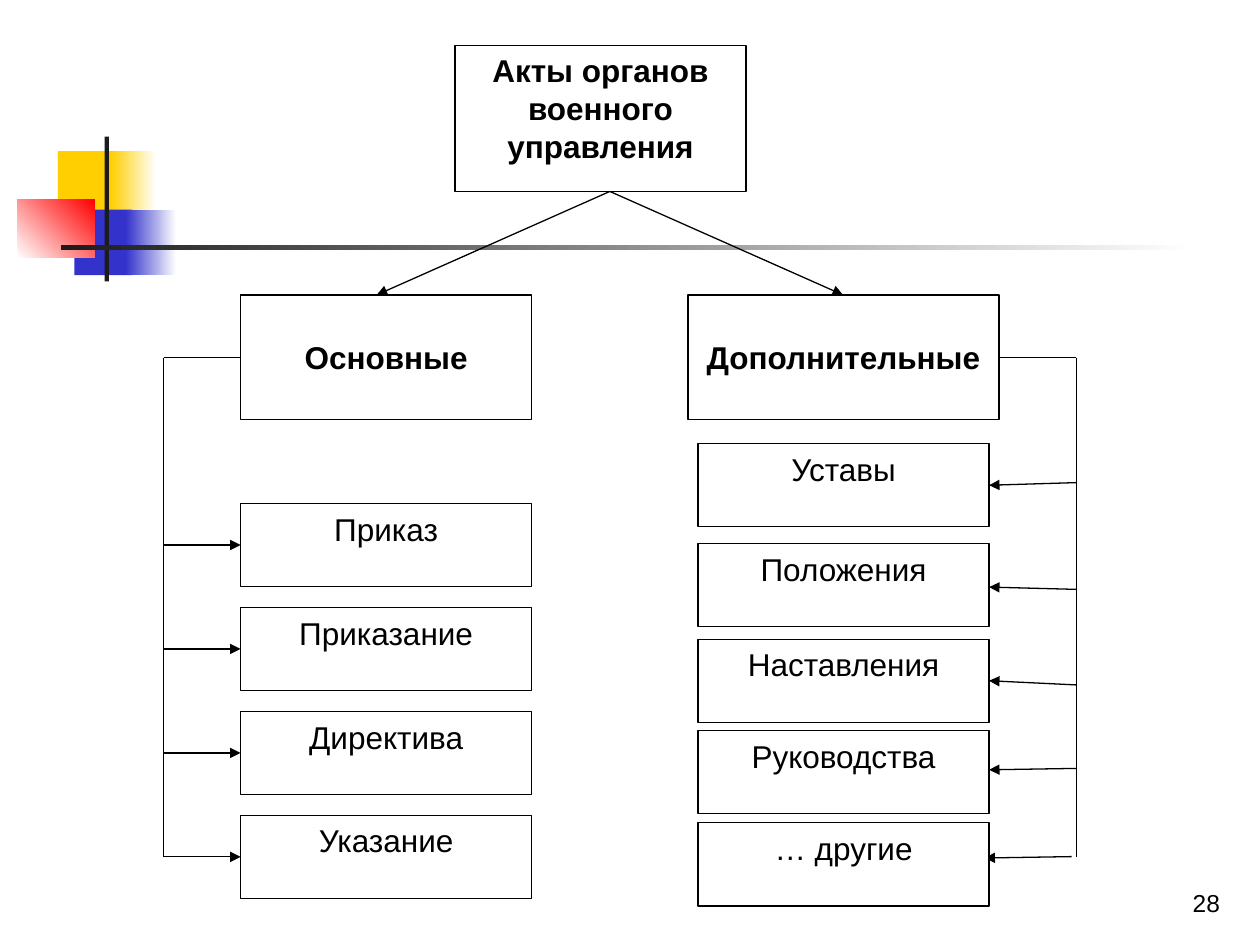
from dataclasses import dataclass
from typing import Optional

from lxml.etree import SubElement
from pptx import Presentation
from pptx.dml.color import RGBColor
from pptx.enum.shapes import MSO_CONNECTOR, MSO_SHAPE
from pptx.enum.text import MSO_ANCHOR, PP_ALIGN
from pptx.oxml.ns import qn
from pptx.slide import Slide
from pptx.text.text import TextFrame
from pptx.util import Pt


@dataclass(frozen=True)
class Theme:
    font: str = "Arial"
    black: str = "000000"
    white: str = "FFFFFF"
    dark: str = "1C1C1C"
    yellow: str = "FFCF01"
    blue: str = "3333CC"
    red: str = "FF0000"
    node_size: float = 18
    number_size: float = 14
    line_width: float = 0.75


@dataclass(frozen=True)
class Block:
    """A decorative rectangle; a second colour makes it a gradient."""
    left: float
    top: float
    width: float
    height: float
    color: str
    end_color: Optional[str] = None
    angle: float = 0


@dataclass(frozen=True)
class Node:
    text: str
    left: float
    top: float
    width: float
    height: float
    bold: bool = False
    anchor: MSO_ANCHOR = MSO_ANCHOR.TOP


@dataclass(frozen=True)
class Line:
    start: tuple[float, float]
    end: tuple[float, float]
    arrow: bool = True


THEME = Theme()
ITEM_WIDTH, ITEM_HEIGHT = 166.3, 47.5
HEADING_TOP, HEADING_HEIGHT = 168.5, 71.3
LEFT_ITEMS, RIGHT_ITEMS = 137.5, 398.9
LEFT_RAIL, RIGHT_RAIL = 93.6, 615
RAIL_TOP, RAIL_BOTTOM = 204.4, 489.6

# Master decoration, from back to front
BLOCKS = [
    Block(33.1, 86.4, 34.6, 37.4, THEME.yellow),
    Block(63.4, 86.4, 25.9, 37.4, THEME.yellow, THEME.white),
    Block(42.5, 119.8, 33.1, 37.4, THEME.blue),
    Block(72, 119.8, 28.8, 37.4, THEME.blue, THEME.white),
    Block(10, 113.8, 44.2, 33.4, THEME.white, THEME.red, 45),
    Block(59.8, 78, 2.5, 82.8, THEME.dark),
    Block(34.8, 140.2, 648, 2.5, THEME.dark, THEME.white),
]

# Top box and the two group headings
HEADINGS = [
    Node("Акты органов\nвоенного управления", 260, 25.9, ITEM_WIDTH, 83.5, True),
    Node("Основные", LEFT_ITEMS, HEADING_TOP, ITEM_WIDTH, HEADING_HEIGHT,
         True, MSO_ANCHOR.MIDDLE),
    Node("Дополнительные", 393.1, HEADING_TOP, 177.8, HEADING_HEIGHT,
         True, MSO_ANCHOR.MIDDLE),
]

BASIC_ACTS = ["Приказ", "Приказание", "Директива", "Указание"]
BASIC_TOP, BASIC_STEP = 287.7, 59.4

# Name, box top, arrow start height, arrow end height
ADDITIONAL_ACTS = [
    ("Уставы", 253.6, 275.8, 277.3),
    ("Положения", 310.6, 336.8, 335.5),
    ("Наставления", 365.3, 391.4, 389),
    ("Руководства", 417.6, 439.1, 439.9),
    ("… другие", 470.2, 489.5, 490.3),
]


def apply_format(target: object, values: dict) -> None:
    for name, value in values.items():
        setattr(target, name, value)


def write_text(frame: TextFrame, text: str, size: float, bold: bool,
               alignment: PP_ALIGN, anchor: MSO_ANCHOR) -> None:
    apply_format(frame, {
        "word_wrap": True, "vertical_anchor": anchor,
        "margin_left": Pt(7.2), "margin_right": Pt(7.2),
        "margin_top": Pt(3.6), "margin_bottom": Pt(3.6),
    })
    frame.text = text
    for paragraph in frame.paragraphs:
        paragraph.alignment = alignment
        apply_format(paragraph.font, {"name": THEME.font, "size": Pt(size), "bold": bold})
        paragraph.font.color.rgb = RGBColor.from_string(THEME.black)


def add_rectangle(slide: Slide, box: Block | Node):
    shape = slide.shapes.add_shape(
        MSO_SHAPE.RECTANGLE, Pt(box.left), Pt(box.top), Pt(box.width), Pt(box.height))
    shape.shadow.inherit = False
    return shape


def add_block(slide: Slide, block: Block) -> None:
    shape = add_rectangle(slide, block)
    shape.line.fill.background()
    if block.end_color is None:
        shape.fill.solid()
        shape.fill.fore_color.rgb = RGBColor.from_string(block.color)
        return
    shape.fill.gradient()
    shape.fill.gradient_angle = block.angle
    for stop, color in zip(shape.fill.gradient_stops, (block.color, block.end_color)):
        stop.color.rgb = RGBColor.from_string(color)


def add_node(slide: Slide, node: Node) -> None:
    shape = add_rectangle(slide, node)
    shape.fill.solid()
    shape.fill.fore_color.rgb = RGBColor.from_string(THEME.white)
    shape.line.color.rgb = RGBColor.from_string(THEME.black)
    shape.line.width = Pt(THEME.line_width)
    write_text(shape.text_frame, node.text, THEME.node_size, node.bold,
               PP_ALIGN.CENTER, node.anchor)


def add_line(slide: Slide, line: Line) -> None:
    connector = slide.shapes.add_connector(
        MSO_CONNECTOR.STRAIGHT, *(Pt(value) for value in line.start + line.end))
    connector.line.color.rgb = RGBColor.from_string(THEME.black)
    connector.line.width = Pt(THEME.line_width)
    if line.arrow:
        SubElement(connector.line._get_or_add_ln(), qn("a:tailEnd"), type="triangle")
    SubElement(connector._element.spPr, qn("a:effectLst"))


def main() -> None:
    presentation = Presentation()
    apply_format(presentation, {"slide_width": Pt(720), "slide_height": Pt(540)})
    slide = presentation.slides.add_slide(presentation.slide_layouts[6])

    for block in BLOCKS:
        add_block(slide, block)

    # Branches from the top box, then the side rails
    lines = [Line((348.5, 109.4), (x, HEADING_TOP)) for x in (215.3, 481.7)]
    for edge, rail in ((LEFT_ITEMS, LEFT_RAIL), (570.9, RIGHT_RAIL)):
        lines.append(Line((edge, RAIL_TOP), (rail, RAIL_TOP), False))
        lines.append(Line((rail, RAIL_TOP), (rail, RAIL_BOTTOM), False))

    # Items of both groups with their arrows
    nodes = list(HEADINGS)
    for index, name in enumerate(BASIC_ACTS):
        top = BASIC_TOP + index * BASIC_STEP
        middle = top + ITEM_HEIGHT / 2
        nodes.append(Node(name, LEFT_ITEMS, top, ITEM_WIDTH, ITEM_HEIGHT))
        lines.append(Line((LEFT_RAIL, middle), (LEFT_ITEMS, middle)))
    for index, (name, top, start, end) in enumerate(ADDITIONAL_ACTS):
        shift = 2.6 if index == len(ADDITIONAL_ACTS) - 1 else 0
        nodes.append(Node(name, RIGHT_ITEMS, top, ITEM_WIDTH, ITEM_HEIGHT))
        lines.append(Line((RIGHT_RAIL - shift, start),
                          (RIGHT_ITEMS + ITEM_WIDTH - shift, end)))

    # The last box covers the tip of its arrow
    for node in nodes[:-1]:
        add_node(slide, node)
    for line in lines:
        add_line(slide, line)
    add_node(slide, nodes[-1])

    # Slide number
    number = slide.shapes.add_textbox(Pt(554.4), Pt(491.8), Pt(149.8), Pt(36))
    write_text(number.text_frame, "28", THEME.number_size, False,
               PP_ALIGN.RIGHT, MSO_ANCHOR.BOTTOM)

    presentation.save("out.pptx")


if __name__ == "__main__":
    main()
